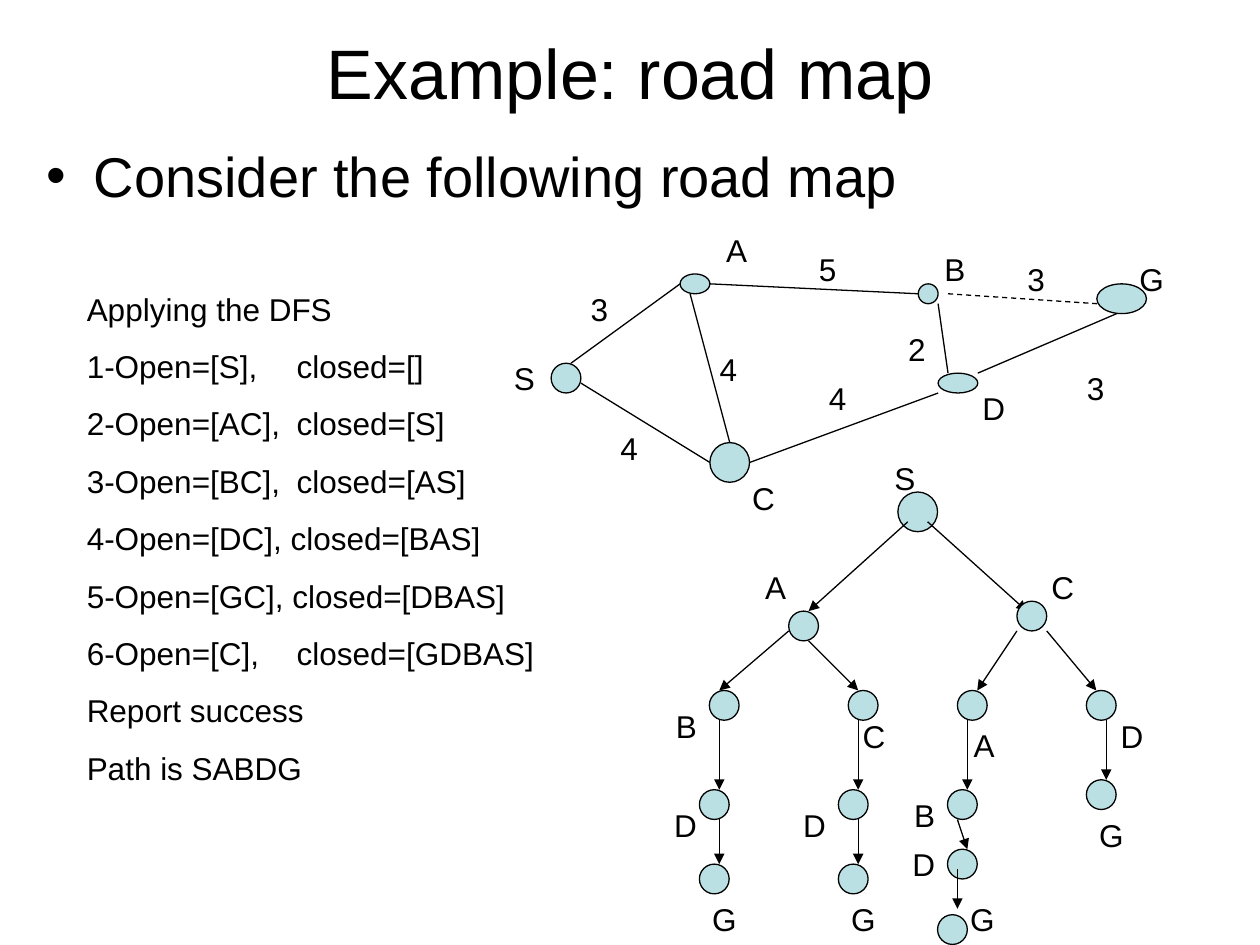
from lxml.etree import SubElement
from pptx import Presentation
from pptx.dml.color import RGBColor as RGB
from pptx.enum.dml import MSO_LINE_DASH_STYLE as Dash
from pptx.enum.shapes import MSO_CONNECTOR as Conn, MSO_SHAPE as Shape
from pptx.enum.text import MSO_ANCHOR as Anchor, MSO_AUTO_SIZE as Auto, PP_ALIGN as Align
from pptx.oxml.ns import qn
from pptx.util import Pt

COLORS = {"ink": "000000", "node": "BBE0E3"}
GRID = 5.67  # points per grid step of both diagrams
SMALL = {"size": Pt(18), "name": "Arial"}
PARA = {"space_before": Pt(11.2), "line_spacing": Pt(21.6)}


def set_attrs(obj, values):
    """Set each attribute of obj from a dict."""
    for key, value in values.items():
        setattr(obj, key, value)


def color(name):
    """Return a palette colour."""
    return RGB.from_string(COLORS[name])


def write(p, text, font, para):
    """Put one formatted run into paragraph p."""
    r = p.add_run()
    r.text = text
    set_attrs(r.font, font)
    r.font.color.rgb = color("ink")
    set_attrs(p, para)


def outline(line):
    """Apply the thin dark line."""
    line.color.rgb = color("ink")
    line.width = Pt(0.74)


def at(box, x, y):
    """Turn grid steps inside a box into slide lengths."""
    return Pt(box[0] + x * GRID), Pt(box[1] + y * GRID)


def add_node(s, box, x, y, w=3, h=3):
    """Draw an ellipse sized in grid steps."""
    sp = s.shapes.add_shape(Shape.OVAL, *at(box, x, y), Pt(w * GRID), Pt(h * GRID))
    sp.shadow.inherit = False
    sp.fill.solid()
    sp.fill.fore_color.rgb = color("node")
    outline(sp.line)


def add_edge(s, box, x1, y1, x2, y2, arrow=False, dashed=False):
    """Draw a straight edge, with an arrowhead or dashes if asked."""
    c = s.shapes.add_connector(Conn.STRAIGHT, *at(box, x1, y1), *at(box, x2, y2))
    outline(c.line)
    if dashed:
        c.line.dash_style = Dash.DASH
    if arrow:
        SubElement(c.line._get_or_add_ln(), qn("a:tailEnd"), type="triangle")
    SubElement(c._element.spPr, qn("a:effectLst"))


def add_text(s, x, y, w, h, lines, align=Align.LEFT):
    """Add a text box with one paragraph per line."""
    tf = s.shapes.add_textbox(x, y, w, h).text_frame
    tf.word_wrap = True
    for i, text in enumerate(lines):
        p = tf.add_paragraph() if i else tf.paragraphs[0]
        write(p, text, SMALL, {**PARA, "alignment": align})
    return tf


def add_label(s, box, text, x, y, w=8, align=Align.RIGHT):
    """Add a one-letter label or a distance."""
    add_text(s, *at(box, x, y), Pt(w * GRID), Pt(28.8), [text], align)


def fill_placeholder(sp, box, text, font, para, anchor):
    """Move a template placeholder and set its text."""
    sp.left, sp.top, sp.width, sp.height = map(Pt, box)
    tf = sp.text_frame
    set_attrs(tf, {"auto_size": Auto.NONE, "vertical_anchor": anchor})
    write(tf.paragraphs[0], text, font, para)
    return tf.paragraphs[0]


def add_heading(s):
    """Fill the title and the single bullet."""
    fill_placeholder(s.shapes.title, (36, 21.6, 648, 38.9), "Example: road map",
                     {"size": Pt(40), "name": "Arial"},
                     {"alignment": Align.CENTER}, Anchor.MIDDLE)
    p = fill_placeholder(s.placeholders[1], (19.4, 77, 648, 51.1),
                         "Consider the following road map",
                         {"size": Pt(32), "name": "Arial"},
                         {"space_before": Pt(8)}, Anchor.TOP)
    pPr = p._p.get_or_add_pPr()
    pPr.set("marL", str(Pt(27)))
    pPr.set("indent", str(-Pt(27)))


def add_steps(s, box):
    """List the search steps, with the closed lists on a tab stop."""
    steps = ["Applying the DFS", "1-Open=[S],\tclosed=[]", "2-Open=[AC],\tclosed=[S]",
             "3-Open=[BC],\tclosed=[AS]", "4-Open=[DC], closed=[BAS]",
             "5-Open=[GC], closed=[DBAS]", "6-Open=[C],\tclosed=[GDBAS]",
             "Report success", "Path is SABDG"]
    tf = add_text(s, *map(Pt, box), steps)
    for p in tf.paragraphs:
        if "\t" in p.text:
            tabs = SubElement(p._p.get_or_add_pPr(), qn("a:tabLst"))
            SubElement(tabs, qn("a:tab"), pos=str(Pt(120)), algn="l")


def add_road_map(s, box):
    """Draw the weighted road graph."""
    for edge in [(7, 14, 18, 6), (21, 6, 42, 7), (8, 16, 21, 24), (19, 7, 23, 22),
                 (25, 24, 44, 17), (44, 8, 45, 15), (48, 15, 62, 9)]:
        add_edge(s, box, *edge)
    add_edge(s, box, 45, 7, 60, 8, dashed=True)
    for node in [(5, 14, 3, 3), (18, 5, 3, 2), (21, 22, 4, 4),
                 (44, 15, 4, 2), (42, 6, 2, 2), (60, 6, 5, 3)]:
        add_node(s, box, *node)
    for name in [("S", 0, 13, 7, Align.LEFT), ("A", 18, 0), ("B", 40, 2),
                 ("C", 24, 25, 8, Align.LEFT), ("D", 44, 16), ("G", 60, 3)]:
        add_label(s, box, *name)
    for distance in [("3", 7, 6), ("4", 10, 20), ("4", 31, 15), ("5", 30, 2),
                     ("2", 39, 10), ("3", 57, 14), ("3", 51, 3), ("4", 20, 12)]:
        add_label(s, box, *distance, w=5)


def add_search_tree(s, box):
    """Draw the search tree that starts from S."""
    add_node(s, box, 27, 4, 4, 4)
    add_node(s, box, 32, 40)
    for edge in [(28, 7, 18, 16), (30, 7, 40, 16), (16, 18, 9, 24), (18, 19, 23, 24),
                 (39, 18, 35, 24), (42, 18, 47, 24), (9, 27, 9, 34), (23, 27, 23, 34),
                 (34, 27, 34, 34), (48, 27, 48, 33), (9, 37, 9, 41.5),
                 (23, 37, 23, 41.5), (33, 37, 34, 40), (33, 42, 33, 46)]:
        add_edge(s, box, *edge, arrow=True)
    for node in [(16, 16), (39, 15), (8, 24), (22, 24), (33, 24), (46, 24), (7, 34),
                 (21, 34), (32, 34), (46, 33), (7, 41.5), (21, 41.5), (31, 46.6)]:
        add_node(s, box, *node)
    for name in [("S", 22, 0), ("A", 9, 11), ("C", 38, 11), ("B", 0, 25), ("C", 19, 26),
                 ("A", 30, 27), ("D", 45, 26), ("D", 0, 35), ("D", 13, 35), ("B", 24, 34),
                 ("G", 43, 36), ("D", 24, 39), ("G", 4, 44.5), ("G", 18, 44.5),
                 ("G", 30, 44.5)]:
        add_label(s, box, *name)


prs = Presentation()
prs.slide_width, prs.slide_height = Pt(720), Pt(540)
s = prs.slides.add_slide(prs.slide_layouts[1])
add_heading(s)
add_road_map(s, (286.6, 128.2))
add_steps(s, (42.5, 162, 272.2, 324.7))
add_search_tree(s, (360, 258.5))
prs.save("out.pptx")
